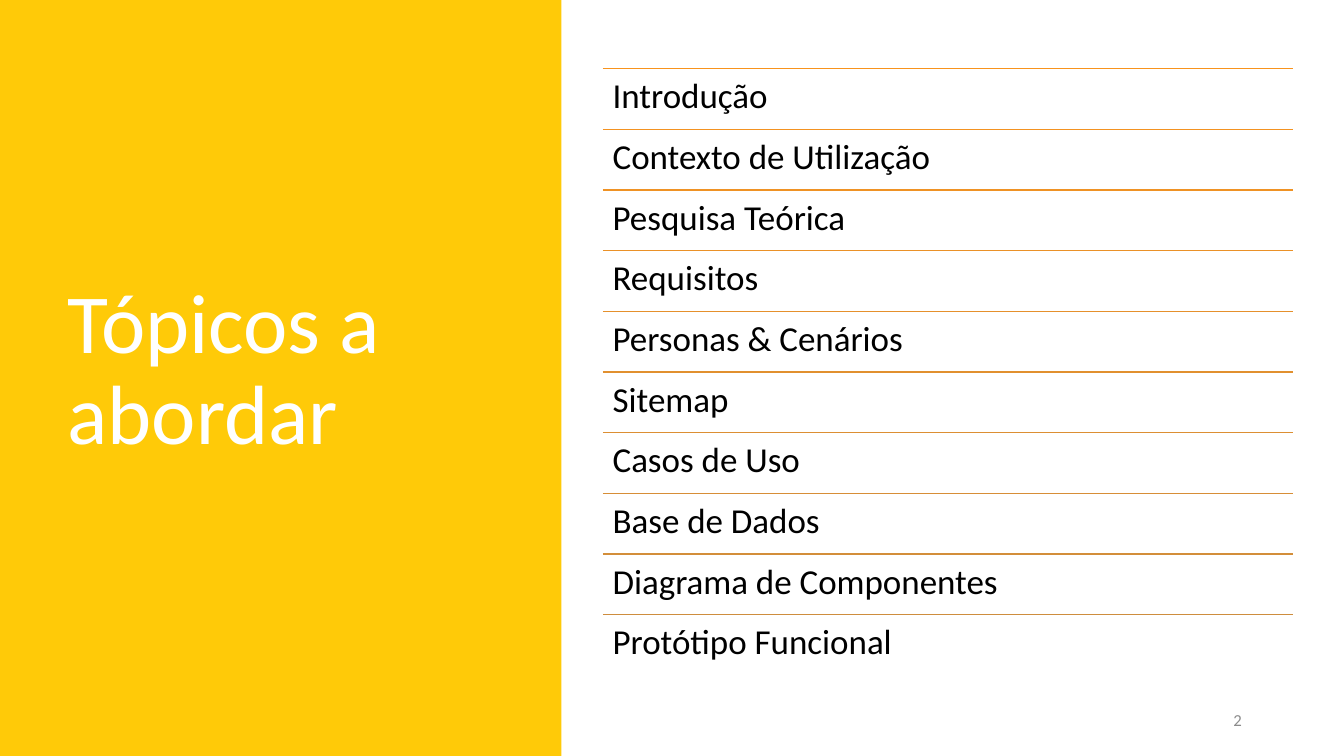
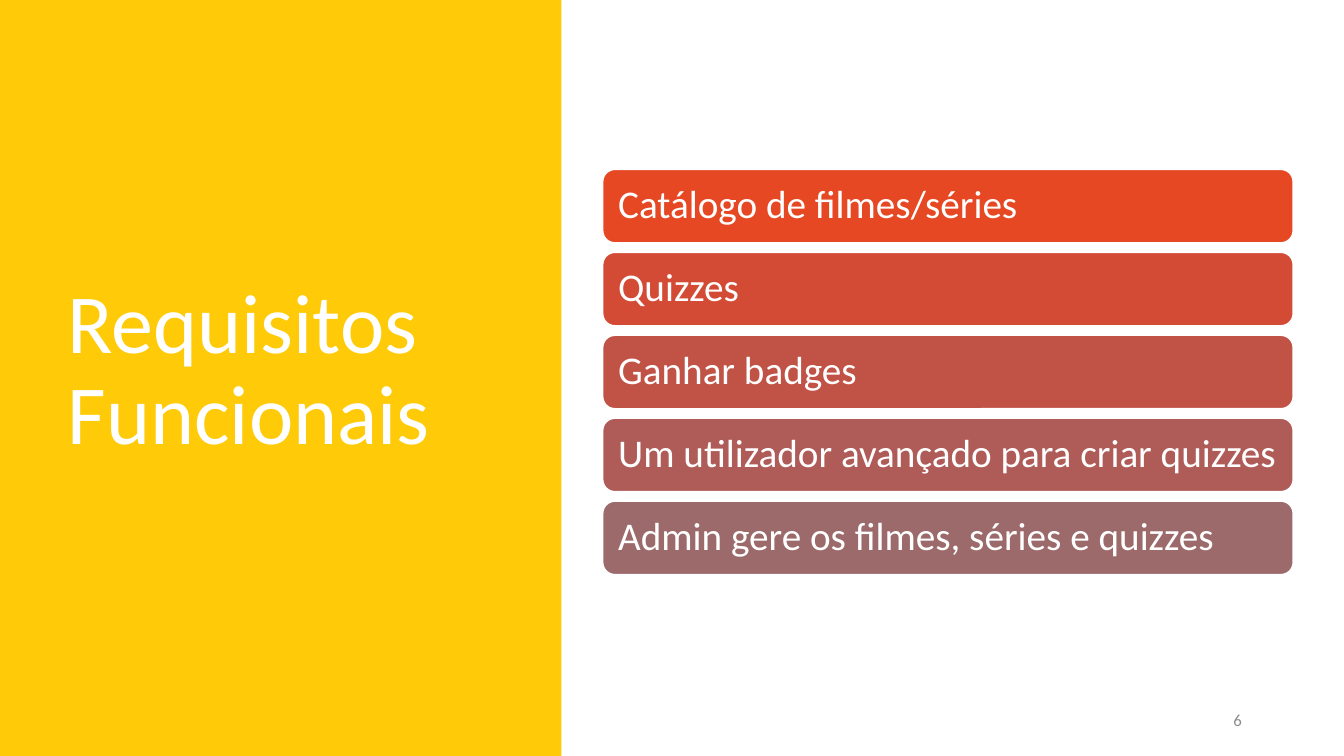
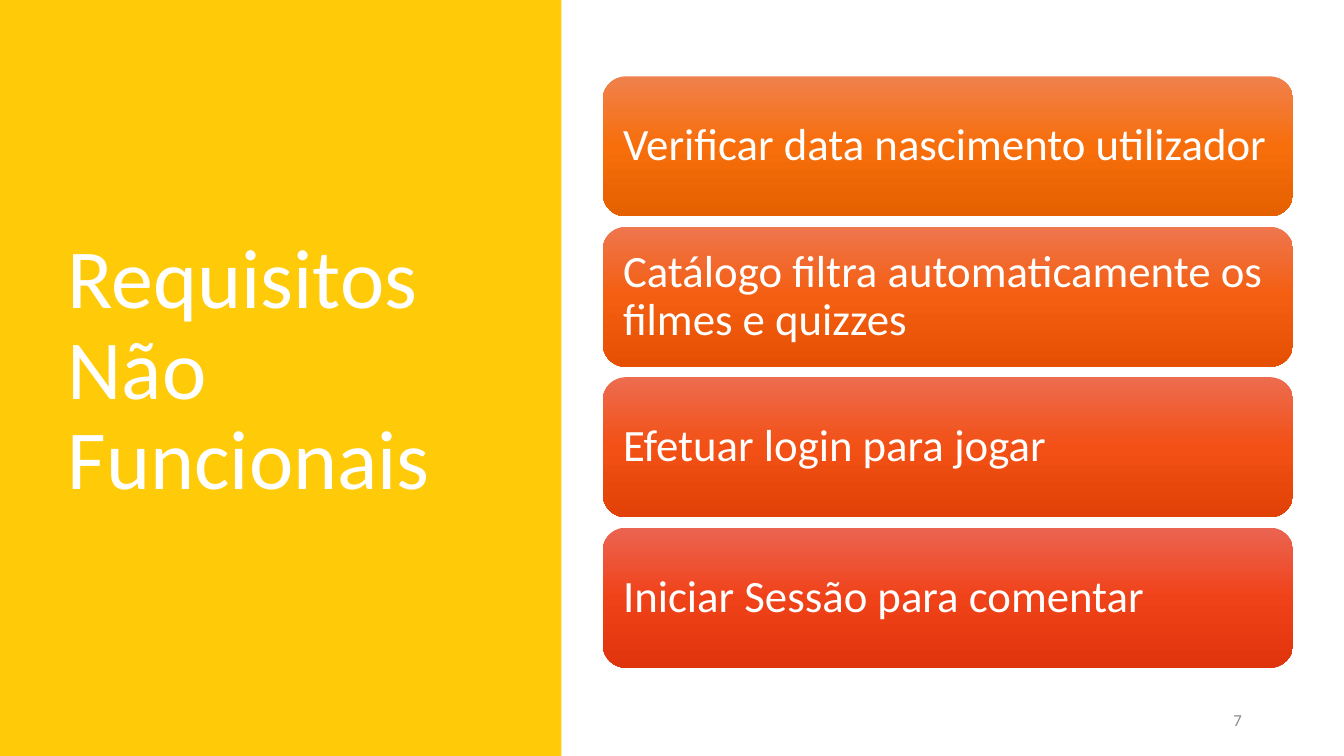
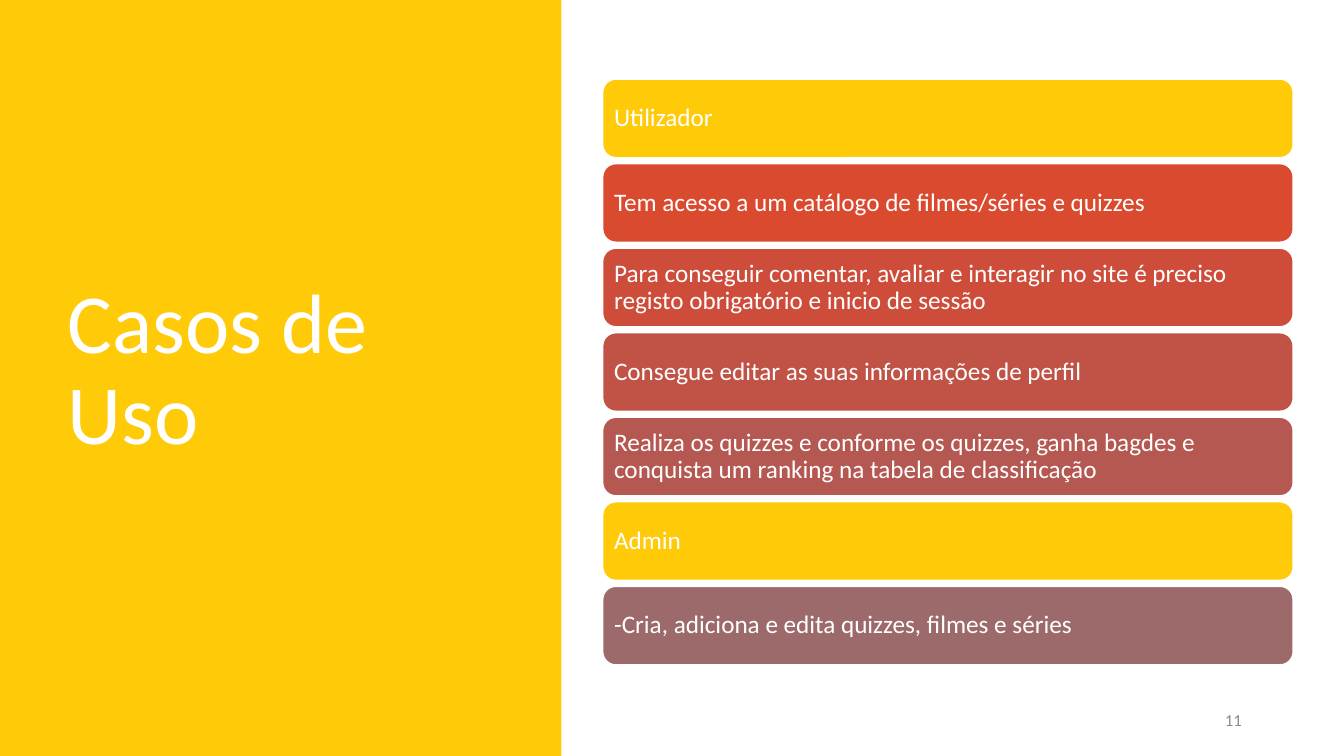
from dataclasses import dataclass

from lxml import etree
from pptx import Presentation
from pptx import util as u
from pptx.dml.color import RGBColor
from pptx.enum import shapes, text
from pptx.oxml.ns import qn


@dataclass(frozen=True)
class Theme:
    font: str = "Calibri"
    accent: str = "FFCA08"
    white: str = "FFFFFF"
    black: str = "000000"
    muted: str = "8C8C8C"
    rule_first: str = "F8931D"
    rule_last: str = "CE8D3E"
    title_size: int = 60
    topic_size: int = 25
    number_size: int = 12


@dataclass(frozen=True)
class Box:
    x: float
    y: float
    w: float
    h: float

    def cm(self):
        return [u.Cm(v) for v in (self.x, self.y, self.w, self.h)]


T = Theme()
PAGE = Box(0, 0, 33.87, 19.05)
PANEL = Box(0, 0, 14.15, PAGE.h)
TITLE = Box(1.45, 1.73, 10.57, 15.29)
CONTENT = Box(15.19, TITLE.y, 17.4, TITLE.h)
NUMBER = Box(23.93, 17.65, 7.62, 1.02)


# Shared helpers
def set_attrs(obj, values):
    for name, value in values.items():
        setattr(obj, name, value)


def rgb(color):
    return RGBColor.from_string(color)


def write(sp, words, size, color, anchor=text.MSO_ANCHOR.MIDDLE,
          align=text.PP_ALIGN.LEFT, margins=None):
    tf = sp.text_frame
    set_attrs(tf, {"word_wrap": True, "auto_size": text.MSO_AUTO_SIZE.NONE,
                   "vertical_anchor": anchor})
    set_attrs(tf, margins or {})
    p = tf.paragraphs[0]
    set_attrs(p, {"alignment": align, "line_spacing": 0.9})
    r = p.add_run()
    r.text = words
    set_attrs(r.font, {"name": T.font, "size": u.Pt(size)})
    r.font.color.rgb = rgb(color)


def insets(size):
    sides = ("margin_left", "margin_top", "margin_bottom")
    return {**dict.fromkeys(sides, u.Cm(size)), "margin_right": u.Cm(size - 0.1)}


def blend(first, last, share):
    pairs = zip(bytes.fromhex(first), bytes.fromhex(last))
    return "".join(f"{round(a + (b - a) * share):02X}" for a, b in pairs)


def paint(sp, fill):
    """Solid fill for one colour, downward gradient for several."""
    if isinstance(fill, str):
        sp.fill.solid()
        sp.fill.fore_color.rgb = rgb(fill)
        return
    sp.fill.gradient()
    sp.fill.gradient_angle = 270
    stops = sp._element.spPr.find(qn("a:gradFill")).find(qn("a:gsLst"))
    for stop in list(stops):
        stops.remove(stop)
    for i, color in enumerate(fill):
        pos = 100000 * i // (len(fill) - 1)
        stop = etree.SubElement(stops, qn("a:gs"), pos=str(pos))
        etree.SubElement(stop, qn("a:srgbClr"), val=color)


def add_block(s, kind, box, fill, outline=None):
    sp = s.shapes.add_shape(kind, *box.cm())
    sp.shadow.inherit = False
    paint(sp, fill)
    if outline:
        sp.line.color.rgb = rgb(outline)
        sp.line.width = u.Pt(1)
    else:
        sp.line.fill.background()
    return sp


# Frame common to all slides: panel, title, page number
def add_frame(prs, title, number):
    s = prs.slides.add_slide(prs.slide_layouts[5])
    panel = add_block(s, shapes.MSO_SHAPE.RECTANGLE, PANEL, T.accent)
    s.shapes._spTree.insert(2, panel._element)
    heading = s.shapes.title
    set_attrs(heading, dict(zip(("left", "top", "width", "height"), TITLE.cm())))
    write(heading, title, T.title_size, T.white)
    write(s.shapes.add_textbox(*NUMBER.cm()), str(number), T.number_size,
          T.muted, align=text.PP_ALIGN.RIGHT)
    return s


# Topics separated by thin rules, filling the box
def add_topics(s, box, topics):
    row_h = box.h / len(topics)
    for i, topic in enumerate(topics):
        row = Box(box.x, box.y + i * row_h, box.w, row_h)
        x, y, w, h = row.cm()
        rule = s.shapes.add_connector(shapes.MSO_CONNECTOR.STRAIGHT, x, y, x + w, y)
        rule.line.color.rgb = rgb(blend(T.rule_first, T.rule_last, i / (len(topics) - 1)))
        rule.line.width = u.Pt(1)
        etree.SubElement(rule._element.spPr, qn("a:effectLst"))
        write(s.shapes.add_textbox(x, y, w, h), topic, T.topic_size, T.black,
              anchor=text.MSO_ANCHOR.TOP, margins=insets(0.25))


# Stack of rounded cards, centred vertically in the box
def add_cards(s, box, cards, card_h, gap, size, inset, outline=None):
    stack_h = len(cards) * (card_h + gap) - gap
    top = box.y + (box.h - stack_h) / 2
    for i, (words, fill) in enumerate(cards):
        card = Box(box.x, top + i * (card_h + gap), box.w, card_h)
        sp = add_block(s, shapes.MSO_SHAPE.ROUNDED_RECTANGLE, card, fill, outline)
        write(sp, words, size, T.white, margins=insets(inset))


TOPICS = ["Introdução", "Contexto de Utilização", "Pesquisa Teórica",
          "Requisitos", "Personas & Cenários", "Sitemap", "Casos de Uso",
          "Base de Dados", "Diagrama de Componentes", "Protótipo Funcional"]

FUNCTIONAL = [
    ("Catálogo de filmes/séries", "E64823"),
    ("Quizzes", "D44B35"),
    ("Ganhar badges", "C15246"),
    ("Um utilizador avançado para criar quizzes", "AF5C58"),
    ("Admin gere os filmes, séries e quizzes", "9C6A6A"),
]

NON_FUNCTIONAL = [
    ("Verificar data nascimento utilizador", ("F0814D", "F76E0B", "E56000")),
    ("Catálogo filtra automaticamente os filmes e quizzes",
     ("EF764E", "F45E10", "E55003")),
    ("Efetuar login para jogar", ("ED6C4F", "F25015", "E24207")),
    ("Iniciar Sessão para comentar", ("EB6451", "F04219", "E0340C")),
]

USE_CASES = [
    ("Utilizador", T.accent),
    ("Tem acesso a um catálogo de filmes/séries e quizzes", "DA4A2F"),
    ("Para conseguir comentar, avaliar e interagir no site é preciso "
     "registo obrigatório e inicio de sessão", "CE4D3A"),
    ("Consegue editar as suas informações de perfil", "C15246"),
    ("Realiza os quizzes e conforme os quizzes, ganha bagdes e "
     "conquista um ranking na tabela de classificação", "B55852"),
    ("Admin", T.accent),
    ("-Cria, adiciona e edita quizzes, filmes e séries", "9C6A6A"),
]


def main():
    prs = Presentation()
    set_attrs(prs, {"slide_width": u.Cm(PAGE.w), "slide_height": u.Cm(PAGE.h)})

    add_topics(add_frame(prs, "Tópicos a abordar", 2), CONTENT, TOPICS)
    add_cards(add_frame(prs, "Requisitos Funcionais", 6), CONTENT, FUNCTIONAL,
              card_h=1.85, gap=0.24, size=28, inset=0.3, outline=T.white)
    add_cards(add_frame(prs, "Requisitos Não Funcionais", 7), CONTENT, NON_FUNCTIONAL,
              card_h=3.53, gap=0.26, size=32, inset=0.34)
    add_cards(add_frame(prs, "Casos de Uso", 11), CONTENT, USE_CASES,
              card_h=1.98, gap=0.15, size=18, inset=0.19, outline=T.white)

    prs.save("out.pptx")


if __name__ == "__main__":
    main()
